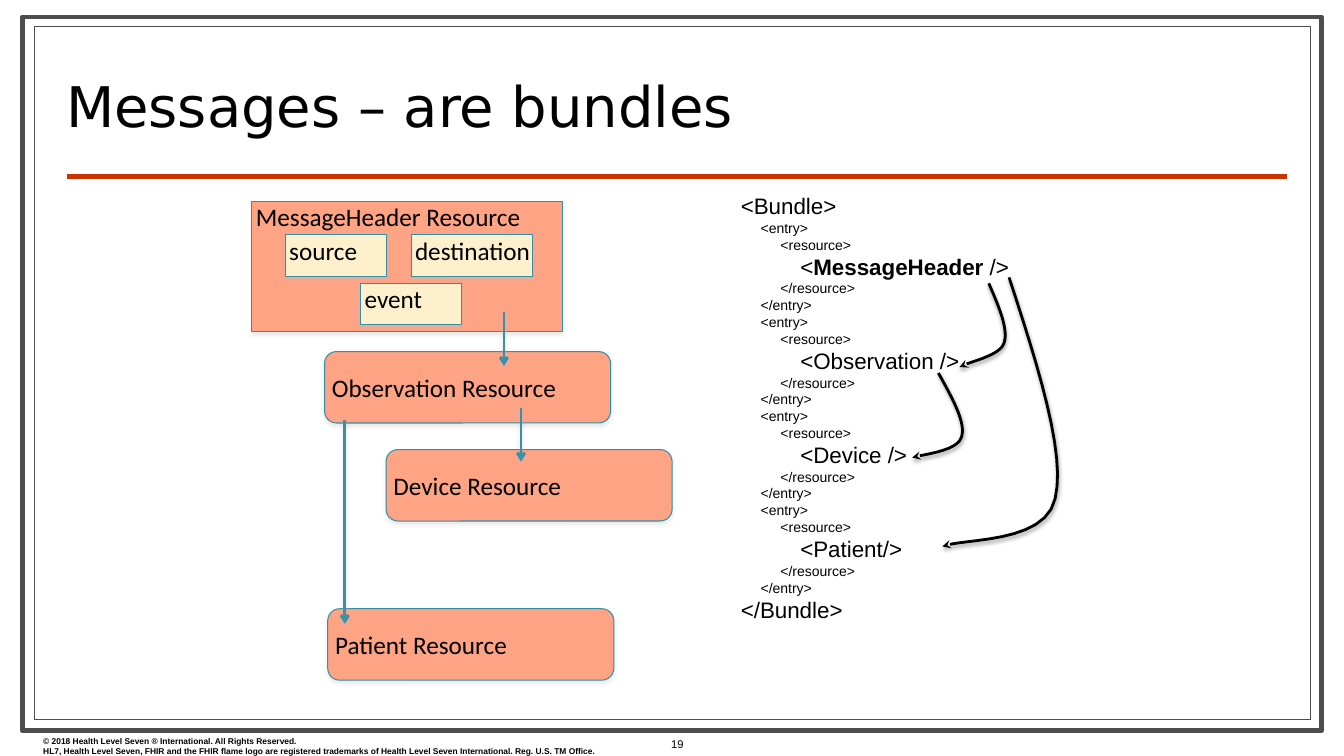
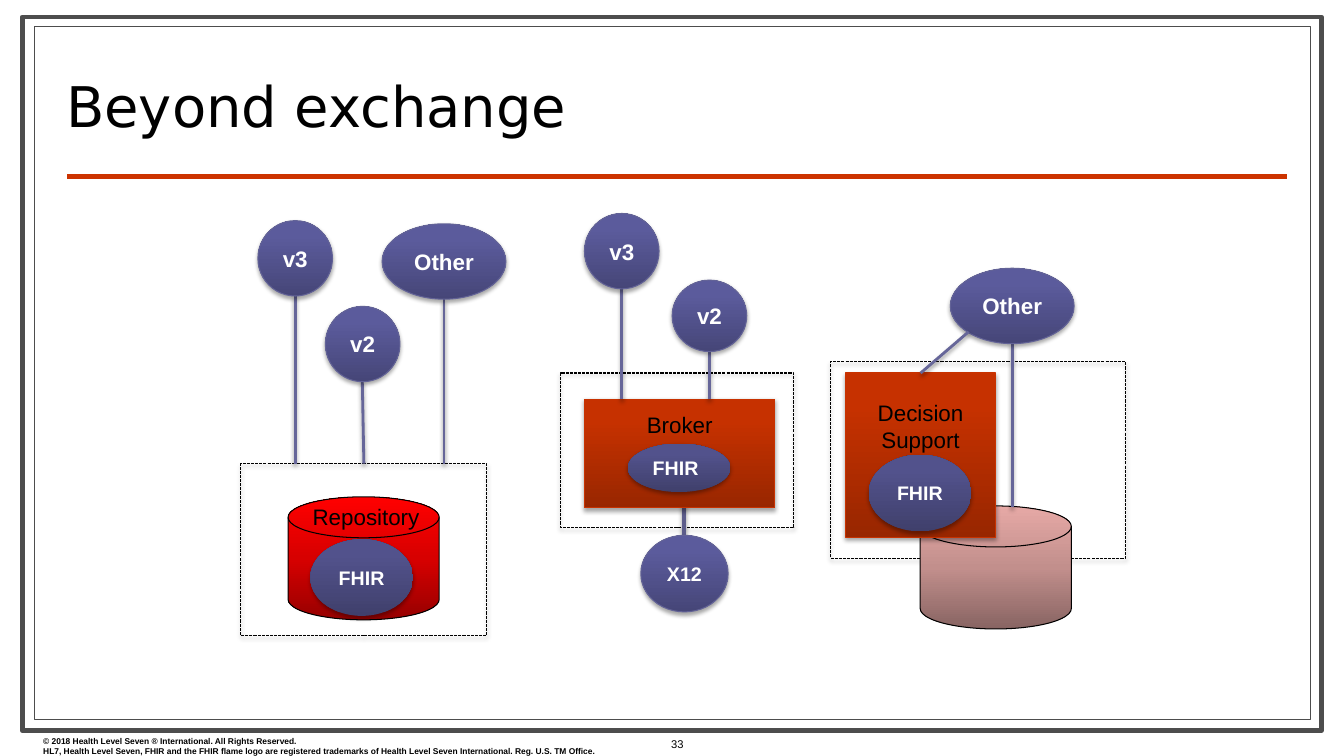
from copy import deepcopy
from lxml import etree
from pptx import Presentation
from pptx.dml.color import RGBColor as Rgb
from pptx.enum.dml import MSO_LINE as Dash
from pptx.enum.shapes import MSO_CONNECTOR as Link, MSO_SHAPE as Form
from pptx.enum.text import MSO_ANCHOR as Anchor, PP_ALIGN as Align
from pptx.oxml.ns import qn
from pptx.util import Cm, Pt

COLORS = {
    "black": "000000", "white": "FFFFFF", "frame": "4D4D4D", "rule": "CC3300",
    "salmon": "FFA385", "cream": "FEF0CD", "teal": "338FA5", "arrow": "3891A7",
    "silver": "C0C0C0", "stem": "666699", "thick": "5C5C8A", "rim": "636397",
    "rust": "C83200",
}
BLENDS = {
    "ball": [(0, "464678"), (0.8, "5B5B9C"), (1, "5B5B9E")],
    "core": [(0, "40406C"), (0.8, "52528C"), (1, "52528E")],
    "block": [(0, "982600"), (0.8, "C63100"), (1, "C73200")],
    "red": [(0, "970000"), (0.5, "D70000"), (1, "FF0000")],
    "pink": [(0, "886462"), (0.5, "C28F8C"), (1, "E6A9A6")],
}
LEGAL = [
    "© 2018 Health Level Seven ® International. All Rights Reserved.",
    "HL7, Health Level Seven, FHIR and the FHIR flame logo are registered trademarks "
    "of Health Level Seven International. Reg. U.S. TM Office.",
]
INSET = (0.25, 0.13, 0.25, 0.13)
TIGHT = (0.1, 0, 0, 0)


def tint(name):
    return Rgb.from_string(COLORS[name])


def bend(p, q, r, s, steps=12):
    for i in range(1, steps + 1):
        t = i / steps
        u = 1 - t
        yield tuple(
            int(Cm(u**3 * a + 3 * u * u * t * b + 3 * u * t * t * c + t**3 * d))
            for a, b, c, d in zip(p, q, r, s)
        )


class Deck:
    def __init__(self):
        self.file = Presentation()
        self.file.slide_width = Cm(33.87)
        self.file.slide_height = Cm(19.05)
        self.shapes = None

    def page(self, title, number):
        slide = self.file.slides.add_slide(self.file.slide_layouts[6])
        self.shapes = slide.shapes
        self.box((0.56, 0.43, 32.74, 17.98), "white", "frame", 3.5)
        self.box((0.86, 0.66, 32.16, 17.48), "white", "frame")
        self.line((1.7, 4.45), (32.44, 4.45), "rule", 3, shade=None)
        self.label((0.84, 18.42, 16.36, 0.76), LEGAL, size=6, bold=True)
        head = self.label((1.42, 1.32, 25.91, 2.29), [title], size=40,
                          font="DejaVu Sans", anchor=Anchor.BOTTOM)
        head.text_frame.paragraphs[0].line_spacing = 0.8
        self.label((16.08, 18.42, 1.98, 0.64), [str(number)], size=8,
                   align=Align.CENTER, anchor=Anchor.MIDDLE)

    def shadow(self, shape, color, alpha=35):
        group = etree.SubElement(shape._element.spPr, qn("a:effectLst"))
        if color:
            cast = etree.SubElement(group, qn("a:outerShdw"), blurRad=str(Pt(3)),
                                    dist=str(Pt(1.8)), dir="5400000", rotWithShape="0")
            hue = etree.SubElement(cast, qn("a:srgbClr"), val=COLORS[color])
            etree.SubElement(hue, qn("a:alpha"), val=str(alpha * 1000))

    def blend(self, shape, stops):
        shape.fill.gradient()
        shape.fill.gradient_angle = 90
        group = shape._element.spPr.find(qn("a:gradFill")).find(qn("a:gsLst"))
        group.append(deepcopy(group[0]))
        for stop, (place, color) in zip(shape.fill.gradient_stops, stops):
            stop.position = place
            stop.color.rgb = Rgb.from_string(color)

    def pen(self, shape, color, width, tip=None):
        shape.line.color.rgb = tint(color)
        shape.line.width = Pt(width)
        if tip:
            edge = shape._element.spPr.find(qn("a:ln"))
            etree.SubElement(edge, qn("a:tailEnd"), type=tip)

    def box(self, area, fill=None, edge=None, width=0.75, form=Form.RECTANGLE,
            shade=None, dash=False):
        shape = self.shapes.add_shape(form, *map(Cm, area))
        if fill in BLENDS:
            self.blend(shape, BLENDS[fill])
        elif fill:
            shape.fill.solid()
            shape.fill.fore_color.rgb = tint(fill)
        else:
            shape.fill.background()
        if edge:
            self.pen(shape, edge, width)
        else:
            shape.line.fill.background()
        if dash:
            shape.line.dash_style = Dash.SQUARE_DOT
        self.shadow(shape, shade)
        return shape

    def row(self, para, runs, size, font="Arial", color="black", align=Align.LEFT):
        para.alignment = align
        for text, bold in runs:
            run = para.add_run()
            run.text = text
            run.font.name = font
            run.font.size = Pt(size)
            run.font.bold = bold
            run.font.color.rgb = tint(color)

    def prose(self, shape, rows, bold=False, anchor=Anchor.TOP, pad=INSET, **style):
        frame = shape.text_frame
        frame.word_wrap = True
        frame.vertical_anchor = anchor
        (frame.margin_left, frame.margin_top,
         frame.margin_right, frame.margin_bottom) = map(Cm, pad)
        for i, text in enumerate(rows):
            para = frame.add_paragraph() if i else frame.paragraphs[0]
            self.row(para, [(text, bold)], **style)

    def label(self, area, rows, **style):
        shape = self.shapes.add_textbox(*map(Cm, area))
        self.prose(shape, rows, **style)
        return shape

    def line(self, start, end, color="stem", width=2, tip=None, shade="black", join=None):
        link = self.shapes.add_connector(Link.STRAIGHT, *map(Cm, start + end))
        if join:
            link.begin_connect(join, 0)
        self.pen(link, color, width, tip)
        self.shadow(link, shade, 38)

    def curve(self, first, *bends):
        here = first
        points = []
        for bent in bends:
            points += bend(here, *bent)
            here = bent[-1]
        draft = self.shapes.build_freeform(*map(Cm, first))
        draft.add_line_segments(points, close=False)
        shape = draft.convert_to_shape()
        shape.fill.background()
        self.pen(shape, "black", 2, "stealth")
        self.shadow(shape, "black", 38)

    def card(self, area, text, fill="salmon", form=Form.RECTANGLE, anchor=Anchor.TOP):
        shape = self.box(area, fill, "teal", form=form, shade="silver")
        self.prose(shape, [text], size=18, font="Calibri", anchor=anchor, pad=TIGHT)

    def ball(self, area, text, size=16, fill="ball", edge="rim", align=Align.CENTER):
        shape = self.box(area, fill, edge, form=Form.OVAL, shade="black")
        self.prose(shape, [text], size=size, bold=True, color="white",
                   align=align, anchor=Anchor.MIDDLE)

    def core(self, area, align=Align.CENTER):
        self.ball(area, "FHIR", 14, "core", None, align)

    def block(self, area, text, top):
        shape = self.box(area, "block", "rust", shade="black")
        self.prose(shape, [text], size=16, align=Align.CENTER, pad=(0.25, top, 0.25, 0))
        return shape

    def code(self, area, lines):
        frame = self.label(area, []).text_frame
        for i, (depth, size, runs) in enumerate(lines):
            para = frame.add_paragraph() if i else frame.paragraphs[0]
            para._p.get_or_add_pPr().set("marL", str(Cm(depth / 2)))
            self.row(para, runs, size)


def bundle():
    names = [
        [("<", False), ("MessageHeader", True), (" />", False)],
        [("<Observation />", False)],
        [("<Device />", False)],
        [("<Patient/>", False)],
    ]
    yield 0, 16, [("<Bundle>", False)]
    for name in names:
        yield 1, 10, [("<entry>", False)]
        yield 2, 10, [("<resource>", False)]
        yield 3, 16, name
        yield 2, 10, [("</resource>", False)]
        yield 1, 10, [("</entry>", False)]
    yield 0, 16, [("</Bundle>", False)]


def messages(deck):
    deck.page("Messages – are bundles", 19)
    deck.code((18.42, 4.72, 8, 11.2), bundle())
    deck.card((6.35, 5.08, 7.82, 3.28), "MessageHeader Resource")
    for x, y, wide, text in [(7.19, 5.92, 2.54, "source"),
                             (10.36, 5.92, 3.07, "destination"),
                             (9.09, 7.14, 2.54, "event")]:
        deck.card((x, y, wide, 1.04), text, "cream")
    for x, y, name in [(8.18, 8.86, "Observation"), (9.73, 11.33, "Device"),
                       (8.26, 15.34, "Patient")]:
        deck.card((x, y, 7.21, 1.8), name + " Resource",
                  form=Form.ROUNDED_RECTANGLE, anchor=Anchor.MIDDLE)
    for x, top, end in [(12.7, 7.85, 9.22), (13.13, 10.29, 11.63), (8.69, 10.59, 15.72)]:
        deck.line((x, top), (x, end), "arrow", tip="arrow", shade="silver")
    deck.curve((24.92, 7.14),
               ((25.17, 7.72), (25.43, 8.31), (25.3, 8.66)),
               ((25.17, 8.99), (24.38, 9.12), (24.18, 9.25)))
    deck.curve((25.43, 6.99),
               ((26.16, 9.22), (26.87, 11.46), (26.59, 12.57)),
               ((26.34, 13.72), (24.23, 13.56), (23.75, 13.77)))
    deck.curve((23.65, 9.4),
               ((24, 10.03), (24.36, 10.67), (24.23, 11.02)),
               ((24.13, 11.38), (23.19, 11.46), (22.99, 11.53)))


def beyond(deck):
    deck.page("Beyond exchange", 33)
    zones = [
        deck.box(area, None, "black", shade="black", dash=True)
        for area in [(6.07, 11.68, 6.2, 4.34), (14.12, 9.4, 5.89, 3.89),
                     (20.93, 9.12, 7.44, 4.95)]
    ]
    for x, y, fill in [(7.26, 12.52, "red"), (23.19, 12.75, "pink")]:
        deck.box((x, y, 3.81, 3.1), fill, "black", form=Form.FLOWCHART_MAGNETIC_DISK)
    deck.label((7.37, 12.55, 3.71, 0.94), ["Repository"], size=16, align=Align.CENTER)
    deck.line((17.24, 13.6), (17.24, 12.5), "thick", 3)
    deck.block((14.73, 10.06, 4.8, 2.74), "Broker", 0.3)
    advice = deck.block((21.31, 9.4, 3.78, 4.14), "Decision Support", 0.65)
    deck.core((7.82, 13.59, 2.59, 1.93))
    deck.core((15.82, 11.18, 2.59, 1.22), Align.LEFT)
    deck.core((21.89, 11.46, 2.59, 1.93))
    for x, y, wide, high, text, end in [
        (6.5, 5.56, 1.88, 1.9, "v3", 11.68),
        (9.63, 5.64, 3.12, 1.9, "Other", 11.68),
        (14.73, 5.38, 1.88, 1.9, "v3", 10.06),
        (16.94, 7.06, 1.88, 1.8, "v2", 10.06),
        (23.95, 6.76, 3.12, 1.9, "Other", 12.78),
    ]:
        mid = x + wide / 2
        deck.line((mid, end), (mid, y + high))
        deck.ball((x, y, wide, high), text)
    deck.line((9.17, 11.68), (9.13, 9.6), join=zones[0])
    deck.ball((8.2, 7.72, 1.88, 1.9), "v2")
    deck.ball((16.15, 13.49, 2.2, 1.93), "X12", 14)
    deck.line((23.2, 9.4), (24.41, 8.36), join=advice)


def main():
    deck = Deck()
    messages(deck)
    beyond(deck)
    deck.file.save("out.pptx")


if __name__ == "__main__":
    main()
